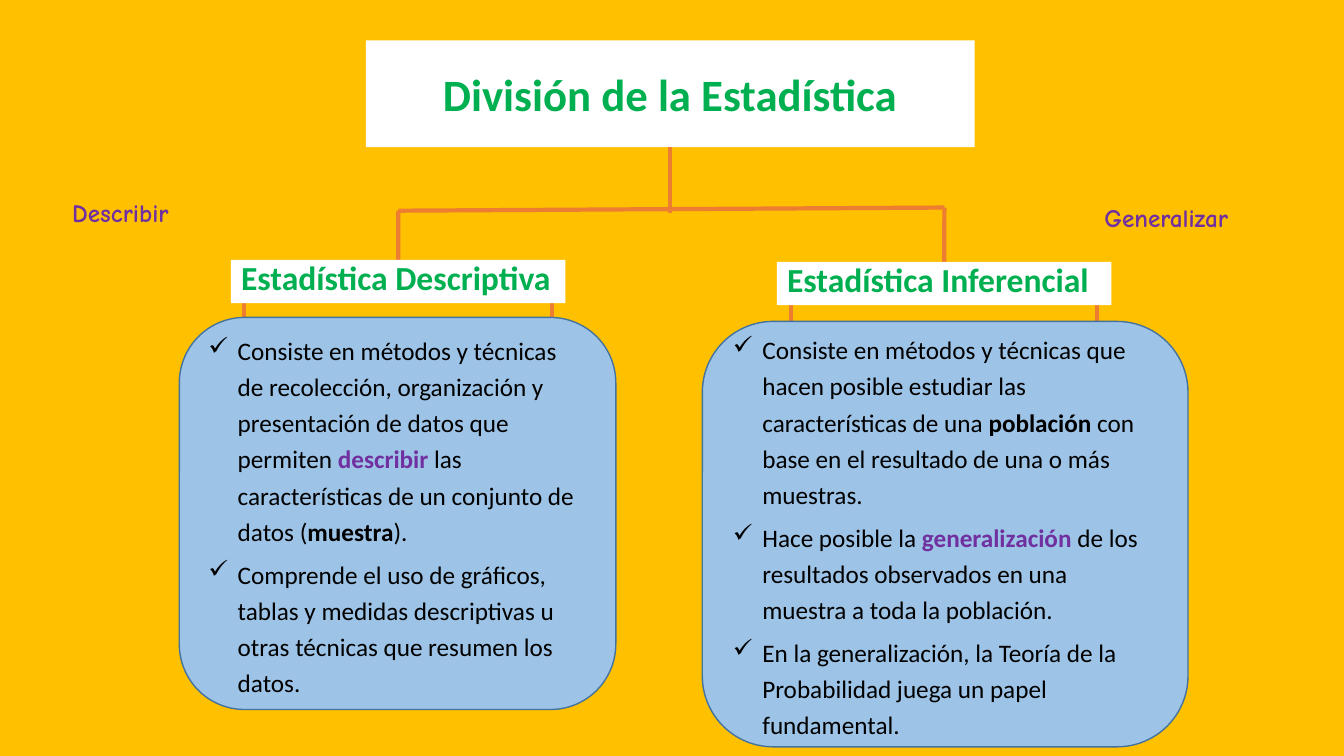
from lxml.etree import SubElement
from pptx import Presentation
from pptx.dml.color import RGBColor
from pptx.enum.shapes import MSO_CONNECTOR, MSO_SHAPE
from pptx.enum.text import MSO_ANCHOR, MSO_AUTO_SIZE, PP_ALIGN
from pptx.oxml.ns import qn
from pptx.util import Cm, Pt

AMBER = RGBColor(0xFF, 0xC0, 0x00)
WHITE = RGBColor(0xFF, 0xFF, 0xFF)
BLACK = RGBColor(0x00, 0x00, 0x00)
GREEN = RGBColor(0x00, 0xB0, 0x50)
PURPLE = RGBColor(0x70, 0x30, 0xA0)
ORANGE = RGBColor(0xED, 0x7D, 0x31)
LIGHT_BLUE = RGBColor(0x9D, 0xC3, 0xE6)
DARK_BLUE = RGBColor(0x43, 0x73, 0x9E)

COMPARISON_LAYOUT = 4
LEG_LENGTH = 1.65
BAR_LEFT, BAR_RIGHT = (10.04, 5.31), (23.8, 5.23)

# Each run is its text, colour and boldness.
DESCRIPTIVE = [
    [("Consiste en métodos y técnicas de recolección, organización y "
      "presentación de datos que permiten ", BLACK, False),
     ("describir ", PURPLE, True),
     ("las características de un conjunto de datos (", BLACK, False),
     ("muestra", BLACK, True),
     (").", BLACK, False)],
    [("Comprende el uso de gráficos, tablas y medidas descriptivas u otras "
      "técnicas que resumen los datos.", BLACK, False)],
]
INFERENTIAL = [
    [("Consiste en métodos y técnicas que hacen posible estudiar las "
      "características de una ", BLACK, False),
     ("población", BLACK, True),
     (" con base en el resultado de una o más muestras.", BLACK, False)],
    [("Hace posible la ", BLACK, False),
     ("generalización", PURPLE, True),
     (" de los resultados observados en una muestra a toda la población.",
      BLACK, False)],
    [("En la generalización, la Teoría de la Probabilidad juega un papel "
      "fundamental.", BLACK, False)],
]


def format_run(run, size, color, bold=True, name="Calibri"):
    run.font.name = name
    run.font.size = Pt(size)
    run.font.bold = bold
    run.font.color.rgb = color


def fill_placeholder(shape, box, text, size, anchor, alignment, line_spacing):
    shape.left, shape.top, shape.width, shape.height = map(Cm, box)
    shape.fill.solid()
    shape.fill.fore_color.rgb = WHITE
    frame = shape.text_frame
    frame.text = text
    frame.auto_size = MSO_AUTO_SIZE.NONE
    frame.vertical_anchor = anchor
    paragraph = frame.paragraphs[0]
    paragraph.alignment = alignment
    paragraph.line_spacing = line_spacing
    paragraph.space_before = Pt(4.5)
    format_run(paragraph.runs[0], size, GREEN)


def add_line(slide, start, end):
    line = slide.shapes.add_connector(
        MSO_CONNECTOR.STRAIGHT, *map(Cm, (*start, *end)))
    line.line.color.rgb = ORANGE
    line.line.width = Pt(3)
    SubElement(line.element.spPr, qn("a:effectLst"))
    return line


def add_check_bullet(paragraph):
    properties = paragraph._p.get_or_add_pPr()
    properties.set("marL", str(Cm(0.74)))
    properties.set("indent", str(Cm(-0.74)))
    SubElement(properties, qn("a:buChar")).set("char", "✓")


def add_panel(slide, box, items):
    panel = slide.shapes.add_shape(
        MSO_SHAPE.ROUNDED_RECTANGLE, *map(Cm, box))
    panel.shadow.inherit = False
    panel.fill.solid()
    panel.fill.fore_color.rgb = LIGHT_BLUE
    panel.line.color.rgb = DARK_BLUE
    panel.line.width = Pt(1)
    frame = panel.text_frame
    frame.word_wrap = True
    frame.vertical_anchor = MSO_ANCHOR.MIDDLE
    for index, item in enumerate(items):
        paragraph = frame.add_paragraph() if index else frame.paragraphs[0]
        paragraph.alignment = PP_ALIGN.LEFT
        paragraph.line_spacing = 1.2
        paragraph.space_before = Pt(4.5)
        add_check_bullet(paragraph)
        for text, color, bold in item:
            run = paragraph.add_run()
            run.text = text
            format_run(run, 18, color, bold)


def add_label(slide, box, text):
    frame = slide.shapes.add_textbox(*map(Cm, box)).text_frame
    frame.word_wrap = True
    frame.text = text
    format_run(frame.paragraphs[0].runs[0], 18, PURPLE, name="Comic Neue")


def main():
    presentation = Presentation()
    presentation.slide_width = Cm(33.87)
    presentation.slide_height = Cm(19.05)
    slide = presentation.slides.add_slide(
        presentation.slide_layouts[COMPARISON_LAYOUT])
    slide.background.fill.solid()
    slide.background.fill.fore_color.rgb = AMBER

    title, left_heading, left_body, right_heading, right_body = \
        slide.placeholders
    for unused in (left_body, right_body):
        unused.element.getparent().remove(unused.element)

    fill_placeholder(title, (9.22, 1.02, 15.34, 2.69),
                     "División de la Estadística", 32,
                     MSO_ANCHOR.MIDDLE, PP_ALIGN.CENTER, 1.0)
    for heading, left, top, text in (
            (left_heading, 5.82, 6.55, "Estadística Descriptiva"),
            (right_heading, 19.58, 6.6, "Estadística Inferencial")):
        fill_placeholder(heading, (left, top, 8.43, 1.09), text, 24,
                         MSO_ANCHOR.BOTTOM, PP_ALIGN.LEFT, 0.9)

    for x, y in ((27.64, 6.86), (19.94, 7.06), (13.92, 7.32), (6.15, 7.24)):
        add_line(slide, (x, y), (x, y + LEG_LENGTH))
    for corner, heading in ((BAR_LEFT, left_heading),
                            (BAR_RIGHT, right_heading)):
        add_line(slide, corner, corner).end_connect(heading, 0)

    # The headings cover the upper part of the legs.
    for shape in (title, left_heading, right_heading):
        slide.shapes.element.append(shape.element)

    add_panel(slide, (4.52, 8, 11, 9.88), DESCRIPTIVE)
    add_panel(slide, (17.7, 8.1, 12.24, 10.72), INFERENTIAL)
    add_label(slide, (1.57, 4.85, 5.08, 1.02), "Describir")
    add_label(slide, (27.58, 4.98, 4.39, 1.02), "Generalizar")
    add_line(slide, BAR_LEFT, BAR_RIGHT)
    add_line(slide, (16.89, 3.71), (16.89, 5.36)).begin_connect(title, 2)

    presentation.save("out.pptx")


if __name__ == "__main__":
    main()
